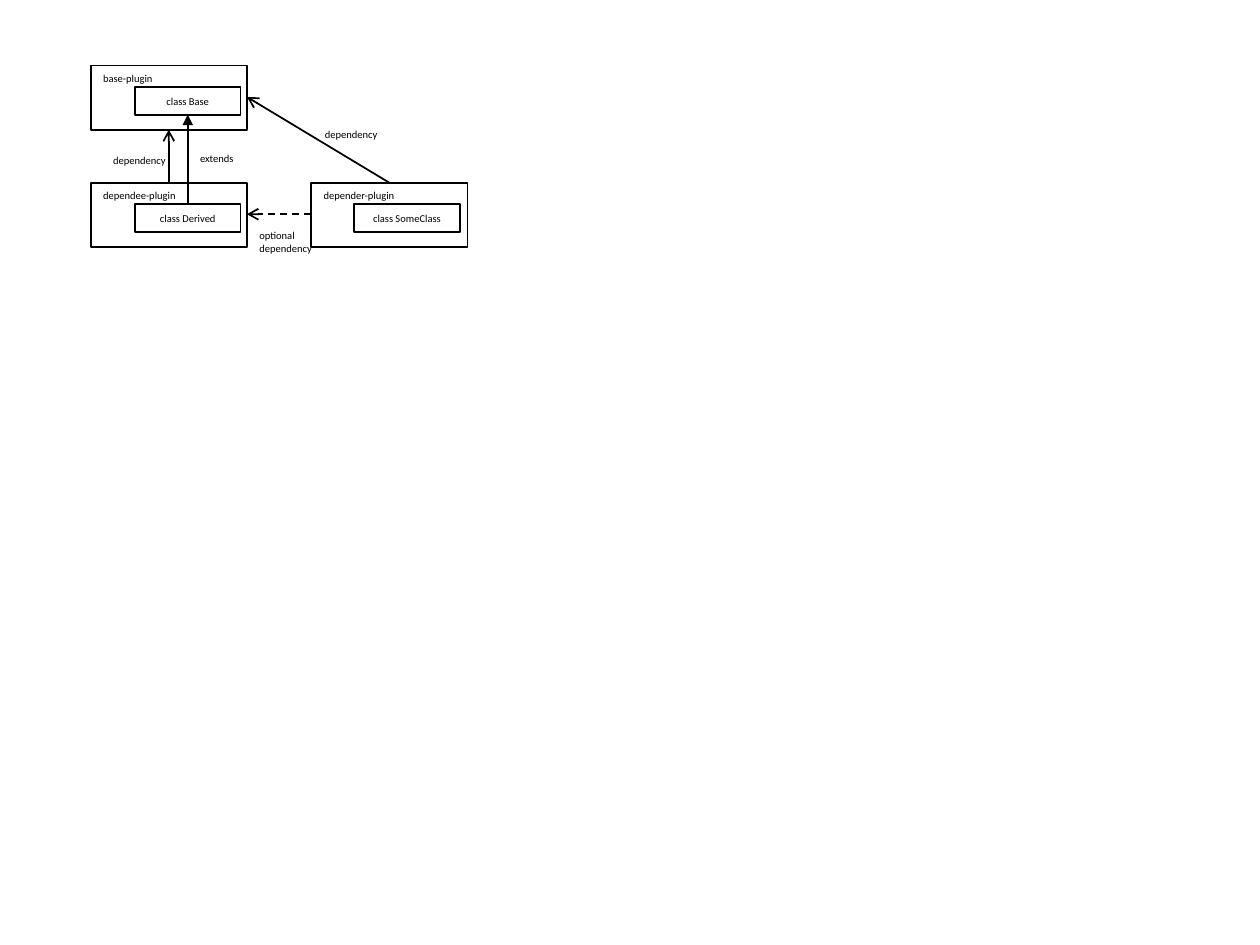
from dataclasses import dataclass

from lxml.etree import SubElement
from pptx import Presentation
from pptx.dml.color import RGBColor
from pptx.enum.dml import MSO_LINE as Dash
from pptx.enum.shapes import MSO_CONNECTOR as Conn, MSO_SHAPE as Kind
from pptx.enum.text import MSO_ANCHOR as Anchor, MSO_AUTO_SIZE as Fit, PP_ALIGN as Align
from pptx.oxml.ns import qn
from pptx.util import Inches, Pt

BLACK = RGBColor(0, 0, 0)
WHITE = RGBColor(255, 255, 255)


@dataclass
class Plugin:
    name: str
    cls: str
    x: float
    y: float
    inset: float


@dataclass
class Arrow:
    start: tuple[float, float]
    end: tuple[float, float]
    head: str = "arrow"
    dash: bool = False


@dataclass
class Label:
    text: str
    x: float
    y: float
    w: float = 0.62
    h: float = 0.2


PLUGINS = [
    Plugin("base-plugin", "class Base", 0.72, 0.52, 0.35),
    Plugin("depender-plugin", "class SomeClass", 2.47, 1.45, 0.34),
    Plugin("dependee-plugin", "class Derived", 0.72, 1.45, 0.35),
]
ARROWS = [
    Arrow((2.47, 1.7), (1.96, 1.7), dash=True),
    Arrow((1.34, 1.45), (1.34, 1.03)),
    Arrow((3.09, 1.45), (1.96, 0.77)),
    Arrow((1.49, 1.62), (1.49, 0.91), head="triangle"),
]
LABELS = [
    Label("dependency", 2.48, 0.97),
    Label("dependency", 0.8, 1.17),
    Label("optional\ndependency", 1.96, 1.77, h=0.3),
    Label("extends", 1.49, 1.16, w=0.47),
]

deck = Presentation()
deck.slide_width, deck.slide_height = Inches(10), Inches(7.5)
shapes = deck.slides.add_slide(deck.slide_layouts[6]).shapes


def write(frame, text: str, align=Align.LEFT, anchor=Anchor.TOP) -> None:
    frame.text = text
    frame.vertical_anchor = anchor
    for para in frame.paragraphs:
        para.alignment = align
        para.font.name = "Calibri"
        para.font.size = Pt(6)
        para.font.color.rgb = BLACK


def outline(line) -> None:
    line.color.rgb = BLACK
    line.width = Pt(1)


def add_box(text: str, x: float, y: float, w: float, h: float, **place) -> None:
    box = shapes.add_shape(Kind.RECTANGLE, Inches(x), Inches(y), Inches(w), Inches(h))
    box.shadow.inherit = False
    box.fill.solid()
    box.fill.fore_color.rgb = WHITE
    outline(box.line)
    write(box.text_frame, text, **place)


def add_arrow(arrow: Arrow) -> None:
    ends = [Inches(v) for v in arrow.start + arrow.end]
    link = shapes.add_connector(Conn.STRAIGHT, *ends)
    outline(link.line)
    if arrow.dash:
        link.line.dash_style = Dash.DASH
    SubElement(link.line._get_or_add_ln(), qn("a:tailEnd"), type=arrow.head)
    SubElement(link._element.spPr, qn("a:effectLst"))


def add_label(label: Label) -> None:
    box = shapes.add_textbox(
        Inches(label.x), Inches(label.y), Inches(label.w), Inches(label.h))
    box.text_frame.word_wrap = False
    box.text_frame.auto_size = Fit.SHAPE_TO_FIT_TEXT
    write(box.text_frame, label.text)


# Plugins, each holding one class
for plug in PLUGINS:
    add_box(plug.name, plug.x, plug.y, 1.24, 0.51)
    add_box(plug.cls, plug.x + plug.inset, plug.y + 0.17, 0.84, 0.22,
            align=Align.CENTER, anchor=Anchor.MIDDLE)

# Relations and their labels
for arrow in ARROWS:
    add_arrow(arrow)
for label in LABELS:
    add_label(label)

deck.save("out.pptx")
